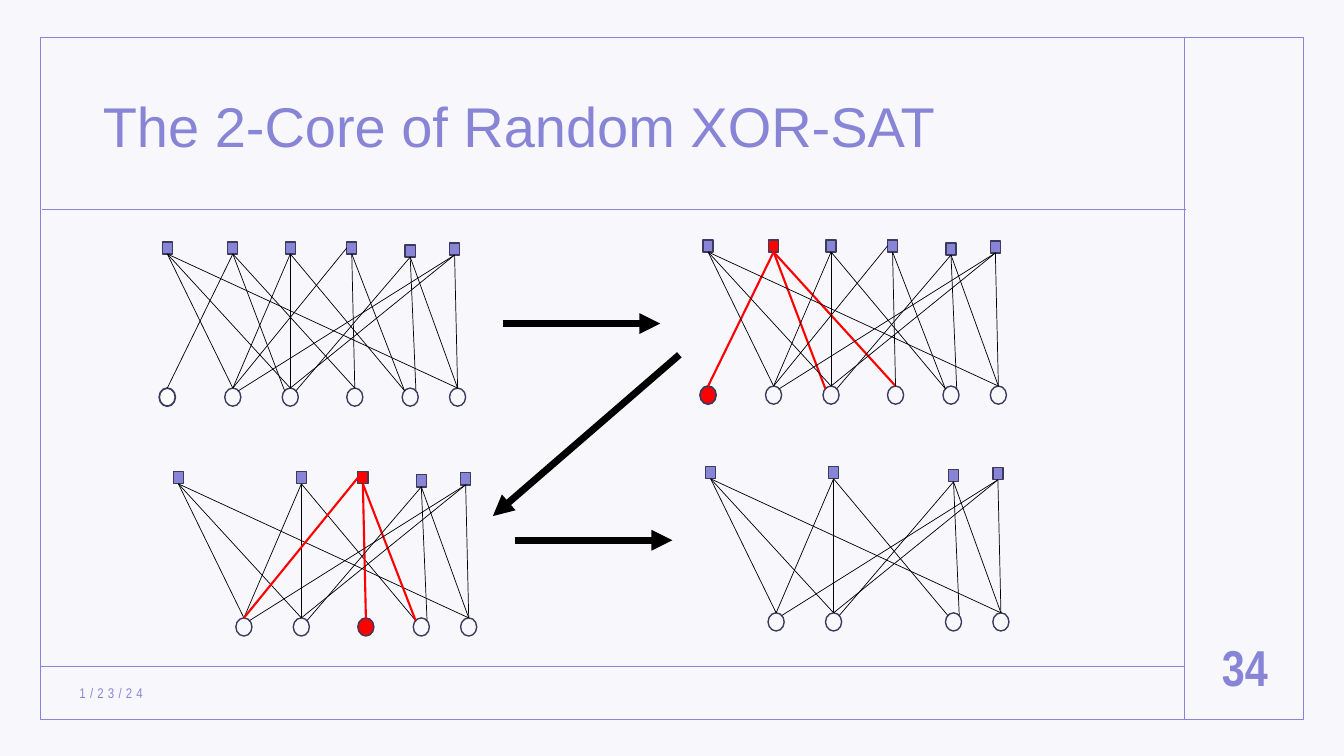
"""Build the slide on peeling a random XOR-SAT graph down to its 2-core."""
from dataclasses import dataclass
from typing import Any

from lxml.etree import SubElement
from pptx import Presentation
from pptx.dml.color import RGBColor
from pptx.enum.shapes import MSO_CONNECTOR, MSO_SHAPE
from pptx.enum.text import MSO_ANCHOR, MSO_AUTO_SIZE, PP_ALIGN
from pptx.oxml.ns import qn
from pptx.util import Emu, Pt

HUES = {"main": "8885D7", "edge": "3C3A5E", "red": "FF0000",
        "black": "000000", "white": "FFFFFF"}
COLS, ROWS = 160, 90
CELL = 76200
TOP, LEFT, BASE = 0, 1, 2

BOX_W, BOX_H = 1.2, 1.44
BALL_W, BALL_H = 1.92, 2.16
BALL_ROW = 17.4
BOXES = [(0.36, 0), (8.16, 0), (15, 0), (22.32, 0), (29.28, 0.36), (34.56, 0.12)]
BALLS = [0, 7.8, 14.64, 22.32, 28.92, 34.56]
SHIFT = {"mid": 0.5, "left": 0.146, "right": 0.854}


@dataclass(frozen=True)
class Link:
    box: int
    ball: int
    spot: str = "mid"
    side: int = BASE


@dataclass(frozen=True)
class Graph:
    col: float
    row: float
    boxes: tuple[int, ...]
    balls: tuple[int, ...]
    red_box: int | None = None
    red_ball: int | None = None


@dataclass(frozen=True)
class Line:
    x1: float
    y1: float
    x2: float
    y2: float


LINKS = [
    Link(1, 0), Link(1, 2, "left"), Link(1, 3),
    Link(0, 1), Link(0, 2), Link(0, 5),
    Link(2, 1), Link(2, 2), Link(2, 4, "left"),
    Link(3, 4, "left"), Link(3, 3), Link(3, 1, side=LEFT),
    Link(4, 4, "right"), Link(4, 2, "right"), Link(4, 5),
    Link(5, 5), Link(5, 2), Link(5, 1, "right"),
]
FULL = (0, 1, 2, 3, 4, 5)
GRAPHS = [
    Graph(18.96, 28.8, FULL, FULL),
    Graph(83.64, 55.56, (0, 2, 4, 5), (1, 2, 4, 5)),
    Graph(83.34, 28.56, FULL, FULL, 1, 0),
    Graph(20.28, 56.16, (0, 2, 3, 4, 5), (1, 2, 3, 4, 5), 3, 3),
]
RULES = [Line(141, 4.44, 141, 85.6), Line(4.92, 79.32, 141, 79.32),
         Line(5.04, 24.96, 141.24, 24.96)]
ARROWS = [Line(59.88, 38.52, 78.6, 38.52), Line(61.32, 64.32, 80.04, 64.32),
          Line(80.88, 42.24, 58.68, 61.44)]


def grid(*cells: float) -> list[Emu]:
    return [Emu(round(cell * CELL)) for cell in cells]


def tint(name: str) -> RGBColor:
    return RGBColor.from_string(HUES[name])


def add_form(shapes: Any, kind: MSO_SHAPE, place: tuple[float, ...], *,
             fill: str | None = None, alpha: int = 100,
             line: str | None = None, width: float = 1) -> Any:
    form = shapes.add_shape(kind, *grid(*place))
    form.shadow.inherit = False
    if fill:
        form.fill.solid()
        form.fill.fore_color.rgb = tint(fill)
        if alpha < 100:
            hue = form.fill._xPr.find(qn("a:solidFill"))[0]
            SubElement(hue, qn("a:alpha")).set("val", str(alpha * 1000))
    else:
        form.fill.background()
    if line:
        form.line.color.rgb = tint(line)
        form.line.width = Pt(width)
    else:
        form.line.fill.background()
    return form


def add_line(shapes: Any, line: Line, hue: str, width: float,
             arrow: bool = False) -> Any:
    ends = grid(line.x1, line.y1, line.x2, line.y2)
    wire = shapes.add_connector(MSO_CONNECTOR.STRAIGHT, *ends)
    wire.line.color.rgb = tint(hue)
    wire.line.width = Pt(width)
    if arrow:
        SubElement(wire.line._ln, qn("a:tailEnd")).set("type", "triangle")
    SubElement(wire._element.spPr, qn("a:effectLst"))
    return wire


def write(form: Any, text: str, *, place: tuple[float, ...], size: int,
          font: str, bold: bool = False, align: PP_ALIGN = PP_ALIGN.LEFT,
          gap: int = 0, lead: float = 1) -> None:
    form.left, form.top, form.width, form.height = grid(*place)
    frame = form.text_frame
    frame.word_wrap = True
    frame.auto_size = MSO_AUTO_SIZE.NONE
    frame.vertical_anchor = MSO_ANCHOR.MIDDLE
    para = frame.paragraphs[0]
    para.alignment = align
    para.line_spacing = lead
    run = para.add_run()
    run.text = text
    run.font.name = font
    run.font.size = Pt(size)
    run.font.bold = bold
    run.font.color.rgb = tint("main")
    if gap:
        run.font._element.set("spc", str(gap * 100))


def draw_graph(shapes: Any, graph: Graph) -> None:
    group = shapes.add_group_shape().shapes
    boxes, balls = {}, {}
    for key in graph.boxes:
        col, row = BOXES[key]
        place = (graph.col + col, graph.row + row, BOX_W, BOX_H)
        fill = "red" if key == graph.red_box else "main"
        boxes[key] = add_form(group, MSO_SHAPE.RECTANGLE, place, fill=fill, line="edge")
    for key in graph.balls:
        place = (graph.col + BALLS[key], graph.row + BALL_ROW, BALL_W, BALL_H)
        first = key == 0
        red = key == graph.red_ball
        fill = "red" if red else "white" if first else None
        balls[key] = add_form(group, MSO_SHAPE.OVAL, place, fill=fill,
                              alpha=100 if red else 58, line="edge",
                              width=1.25 if first else 1)
    for link in LINKS:
        if link.box not in boxes:
            continue
        col, row = BOXES[link.box]
        base = link.side == BASE
        mid = link.spot == "mid"
        line = Line(graph.col + col + (BOX_W / 2 if base else 0),
                    graph.row + row + (BOX_H if base else BOX_H / 2),
                    graph.col + BALLS[link.ball] + BALL_W * SHIFT[link.spot],
                    graph.row + BALL_ROW + (0 if mid else BALL_H * SHIFT["left"]))
        red = link.box == graph.red_box
        wire = add_line(group, line, "red" if red else "black", 1.5 if red else 0.5)
        wire.begin_connect(boxes[link.box], link.side)
        if mid:
            wire.end_connect(balls[link.ball], TOP)


def main() -> None:
    deck = Presentation()
    deck.slide_width, deck.slide_height = grid(COLS, ROWS)
    slide = deck.slides.add_slide(deck.slide_layouts[5])
    shapes = slide.shapes
    title = shapes.title
    add_form(shapes, MSO_SHAPE.RECTANGLE, (0, 0, COLS, ROWS), fill="main", alpha=5)
    add_form(shapes, MSO_SHAPE.RECTANGLE, (4.8, 4.44, 150.36, 81.24), line="main")
    for rule in RULES:
        add_line(shapes, rule, "main", 1)
    shapes._spTree.append(title._element)
    write(title, "The 2-Core of Random XOR-SAT", place=(11.04, 7.2, 125.04, 16.32),
          size=40, font="Arial", lead=0.9)
    write(shapes.add_textbox(0, 0, 0, 0), "1/23/24", place=(8.28, 80.64, 41.4, 3.72),
          size=10, font="Arial Narrow", gap=3)
    write(shapes.add_textbox(0, 0, 0, 0), "34", place=(141.96, 74.4, 12.48, 9.96),
          size=36, font="Arial Narrow", bold=True, align=PP_ALIGN.CENTER)
    for graph in GRAPHS:
        draw_graph(shapes, graph)
    for arrow in ARROWS:
        add_line(shapes, arrow, "black", 5, arrow=True)
    deck.save("out.pptx")


if __name__ == "__main__":
    main()
